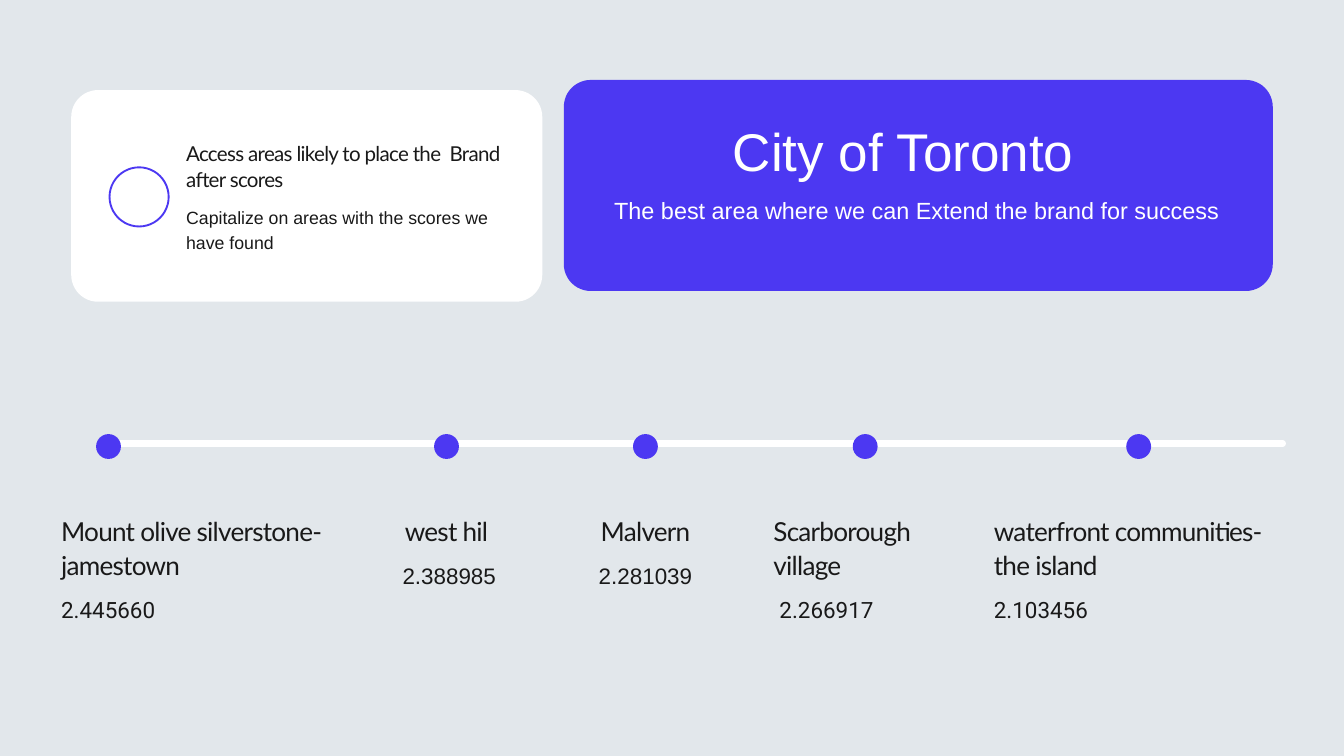
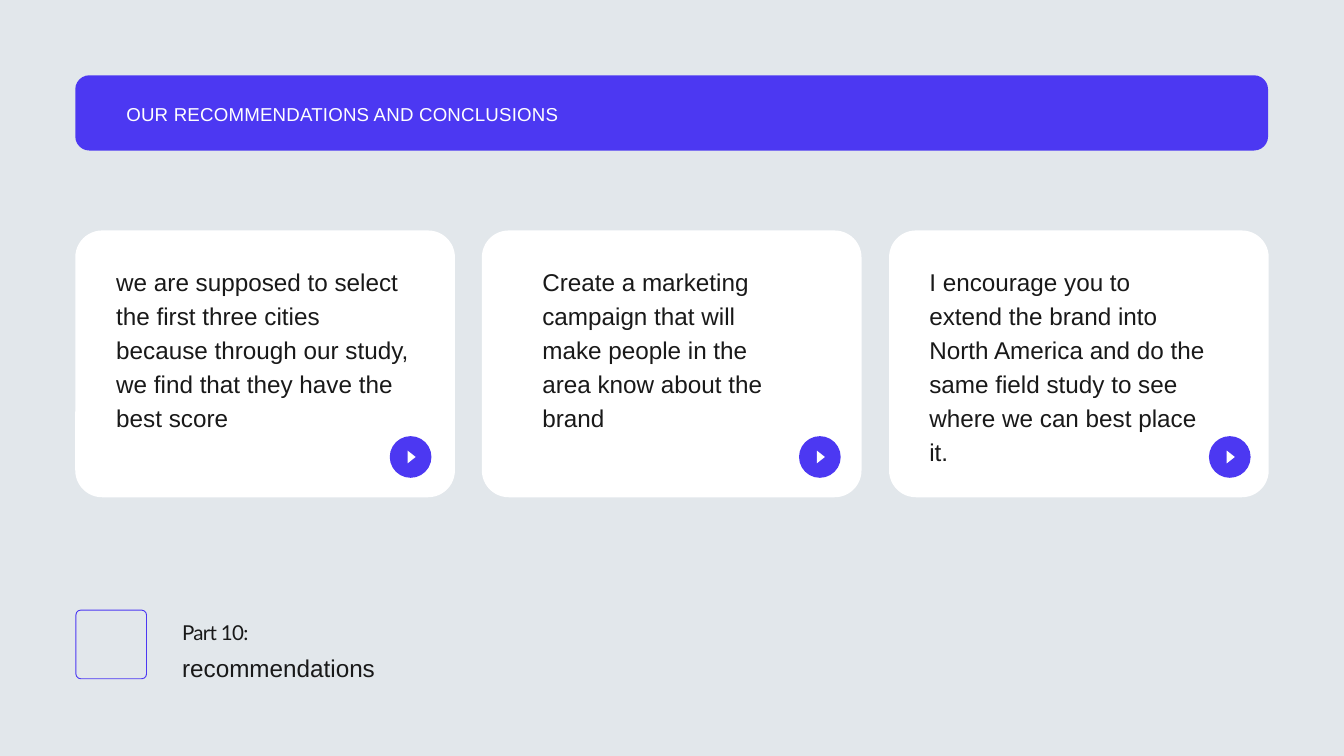
from lxml.etree import SubElement
from pptx import Presentation
from pptx.dml.color import RGBColor
from pptx.enum.shapes import MSO_CONNECTOR, MSO_SHAPE
from pptx.enum.text import MSO_AUTO_SIZE, PP_ALIGN
from pptx.oxml.ns import qn
from pptx.util import Pt

PX = 9144
BACKGROUND = RGBColor(0xE2, 0xE7, 0xEB)
INDIGO = RGBColor(0x4C, 0x38, 0xF2)
WHITE = RGBColor(0xFF, 0xFF, 0xFF)
INK = RGBColor(0x19, 0x19, 0x19)
LEFT, CENTER = PP_ALIGN.LEFT, PP_ALIGN.CENTER

STYLES = {
    "title": {"name": "Arial", "size": 56.8, "leading": 73.9, "color": WHITE},
    "subtitle": {"name": "Arial", "size": 25.1, "leading": 35.1, "color": WHITE},
    "banner": {"name": "Arial", "size": 20, "leading": 26, "color": WHITE, "tracking": 20},
    "heading": {"name": "Lato", "size": 22, "leading": 28.6, "tracking": -70},
    "note": {"name": "Arial", "size": 19, "leading": 26.6},
    "place": {"name": "Lato", "size": 28, "leading": 36.4, "tracking": -80},
    "score": {"name": "Arial", "size": 24, "leading": 33.6},
    "roboto score": {"name": "Roboto", "size": 24, "leading": 33.6},
    "body": {"name": "Arial", "size": 26, "leading": 36.4},
}


class Deck:
    def __init__(self, width, height):
        self.presentation = Presentation()
        self.presentation.slide_width = width * PX
        self.presentation.slide_height = height * PX
        self.slide = None

    def add_slide(self):
        self.slide = self.presentation.slides.add_slide(self.presentation.slide_layouts[6])
        fill = self.slide.background.fill
        fill.solid()
        fill.fore_color.rgb = BACKGROUND

    def shape(self, kind, left, top, width, height, fill=None, outline=None, weight=1):
        box = [length * PX for length in (left, top, width, height)]
        shape = self.slide.shapes.add_shape(kind, *box)
        shape.shadow.inherit = False
        if fill is None:
            shape.fill.background()
        else:
            shape.fill.solid()
            shape.fill.fore_color.rgb = fill
        if outline is None:
            shape.line.fill.background()
        else:
            shape.line.color.rgb = outline
            shape.line.width = Pt(weight)
        return shape

    def panel(self, left, top, width, height, radius, **paint):
        panel = self.shape(MSO_SHAPE.ROUNDED_RECTANGLE, left, top, width, height, **paint)
        panel.adjustments[0] = radius / min(width, height)

    def dot(self, left, top, size, **paint):
        self.shape(MSO_SHAPE.OVAL, left, top, size, size, **paint)

    def play_button(self, left, top):
        self.dot(left, top, 62, fill=INDIGO)
        arrow = self.shape(MSO_SHAPE.ISOSCELES_TRIANGLE, left + 23, top + 25, 19, 12, fill=WHITE)
        arrow.rotation = 90

    def line(self, start, end, y, color, weight):
        line = self.slide.shapes.add_connector(
            MSO_CONNECTOR.STRAIGHT, start * PX, y * PX, end * PX, y * PX)
        line.line.color.rgb = color
        line.line.width = Pt(weight)
        line.line._get_or_add_ln().set("cap", "rnd")
        SubElement(line._element.spPr, qn("a:effectLst"))

    def text(self, words, style, left, top, width, height, align=LEFT):
        look = STYLES[style]
        box = self.slide.shapes.add_textbox(left * PX, top * PX, width * PX, height * PX)
        frame = box.text_frame
        frame_format = {
            "word_wrap": True, "auto_size": MSO_AUTO_SIZE.SHAPE_TO_FIT_TEXT,
            "margin_left": 0, "margin_top": 0, "margin_right": 0, "margin_bottom": 0,
        }
        paragraph = frame.paragraphs[0]
        run = paragraph.add_run()
        run.text = words
        formats = (
            (frame, frame_format),
            (paragraph, {"alignment": align, "line_spacing": Pt(look["leading"])}),
            (run.font, {"name": look["name"], "size": Pt(look["size"])}),
        )
        for target, values in formats:
            for attribute, value in values.items():
                setattr(target, attribute, value)
        run.font.color.rgb = look.get("color", INK)
        if "tracking" in look:
            run._r.get_or_add_rPr().set("spc", str(look["tracking"]))


def build_city(deck):
    deck.add_slide()
    deck.line(157, 1909, 660, WHITE, 6.75)

    deck.panel(106, 134, 701, 315, 40, fill=WHITE)
    deck.dot(163, 249, 88, outline=INDIGO, weight=2)
    deck.text("Access areas likely to place the  Brand after scores",
              "heading", 277, 206, 475, 78)
    deck.text("Capitalize on areas with the scores we have found",
              "note", 277, 303, 475, 107)

    deck.panel(839, 119, 1055, 314, 40, fill=INDIGO)
    deck.text("The best area where we can Extend the brand for success",
              "subtitle", 914, 285, 904, 93)
    deck.text("City of Toronto", "title", 892, 169, 904, 98, CENTER)

    stops = (
        ("Mount olive silverstone-jamestown", "2.445660", "roboto score", 143, 91, 414, 2, LEFT, 0),
        ("west hil", "2.388985", "score", 646, 528, 273, 1, CENTER, 4),
        ("Malvern", "2.281039", "score", 942, 824, 273, 1, CENTER, 0),
        ("Scarborough village", "2.266917", "roboto score", 1269, 1151, 273, 2, LEFT, 9),
        ("waterfront communities-the island", "2.103456", "roboto score",
         1676, 1479, 429, 2, LEFT, 0),
    )
    for place, score, score_style, dot_left, left, width, lines, align, nudge in stops:
        deck.dot(dot_left, 646, 37, fill=INDIGO)
        deck.text(place, "place", left, 763, width, 50 * lines - 2, align)
        deck.text(score, score_style, left + nudge, 780 + 50 * lines, width, 43, align)


def build_recommendations(deck):
    deck.add_slide()
    deck.panel(112, 112, 1775, 112, 21, fill=INDIGO)
    deck.text("OUR RECOMMENDATIONS AND CONCLUSIONS", "banner", 188, 151, 1062, 35)

    recommendations = (
        ("we are supposed to select the first three cities because through our study, "
         "we find that they have the best score", 173, 443, 298),
        ("Create a marketing campaign that will make people in the area know about the brand",
         807, 342, 248),
        ("I encourage you to extend the brand into North America and do the same field study "
         "to see where we can best place it.", 1383, 416, 348),
    )
    for index, (advice, left, width, height) in enumerate(recommendations):
        deck.panel(112 + index * 1211 // 2, 343, 565, 397, 40, fill=WHITE)
        deck.text(advice, "body", left, 391, width, height)
        deck.play_button(580 + index * 1219 // 2, 649)

    deck.panel(113, 908, 105, 102, 7, outline=INDIGO, weight=1)
    deck.text("Part 10:", "heading", 271, 919, 370, 38)
    deck.text("recommendations", "body", 271, 965, 370, 47)


def main():
    deck = Deck(2000, 1125)
    build_city(deck)
    build_recommendations(deck)
    deck.presentation.save("out.pptx")


if __name__ == "__main__":
    main()
